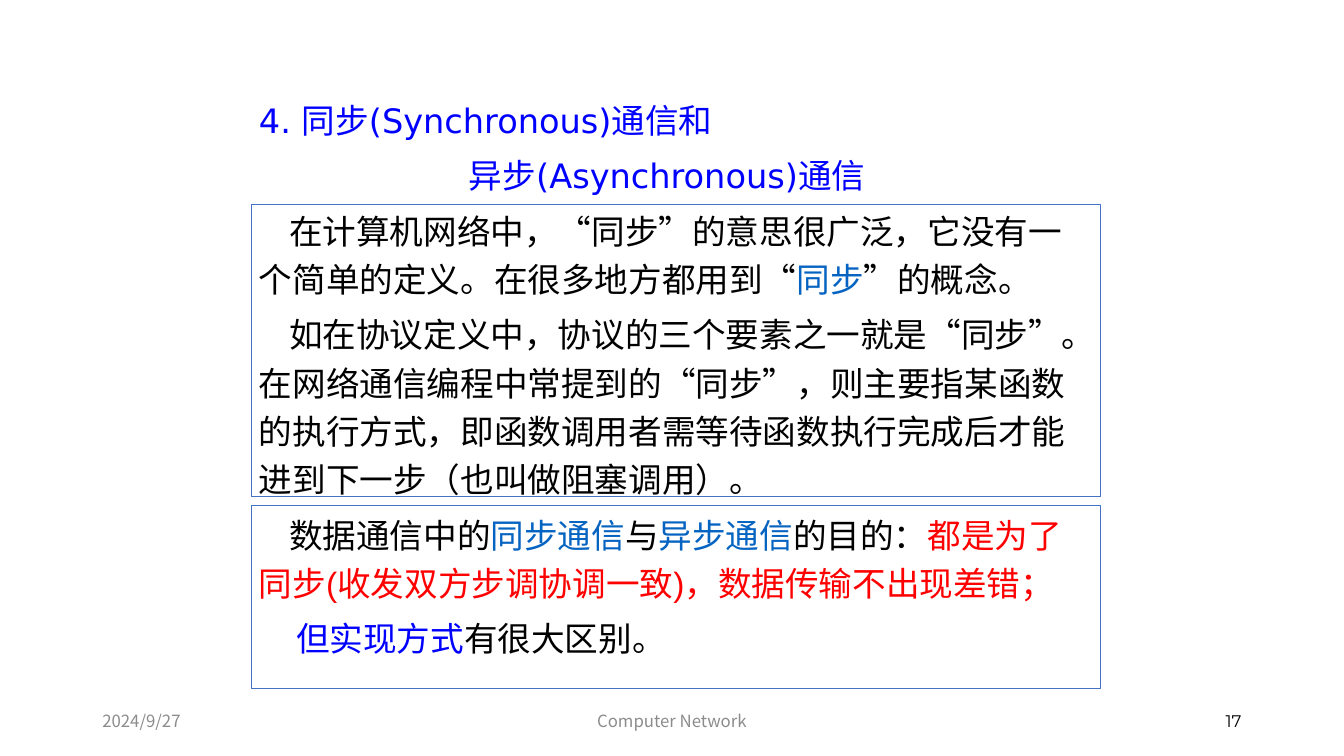
from lxml import etree
from pptx import Presentation
from pptx.dml.color import RGBColor
from pptx.enum.shapes import MSO_SHAPE
from pptx.enum.text import MSO_ANCHOR, MSO_AUTO_SIZE, PP_ALIGN
from pptx.oxml.ns import qn
from pptx.util import Pt

LEFT, CENTER, RIGHT = PP_ALIGN.LEFT, PP_ALIGN.CENTER, PP_ALIGN.RIGHT
TOP, MIDDLE = MSO_ANCHOR.TOP, MSO_ANCHOR.MIDDLE
NO_FIT = MSO_AUTO_SIZE.NONE
RECTANGLE = MSO_SHAPE.RECTANGLE

BLACK = RGBColor(0x00, 0x00, 0x00)
BLUE = RGBColor(0x00, 0x00, 0xFF)
LINK_BLUE = RGBColor(0x05, 0x63, 0xC1)
RED = RGBColor(0xFF, 0x00, 0x00)
GRAY = RGBColor(0x8C, 0x8C, 0x8C)
FRAME_BLUE = RGBColor(0x44, 0x72, 0xC4)

CJK_FONT, LATIN_FONT, GOAL_FONT, NUMBER_FONT = (
    "Noto Sans CJK SC", "DejaVu Sans", "Arial", "Montserrat")

HEADING = [
    (0, LATIN_FONT, [("4. 同步(Synchronous)通信和", BLUE)]),
    (150, LATIN_FONT, [("异步(Asynchronous)通信", BLUE)]),
]
EXPLANATION = [
    (21.5, LATIN_FONT, [
        ("在计算机网络中，“同步”的意思很广泛，它没有一个简单的定义。在很多地方都用到“", BLACK),
        ("同步", LINK_BLUE),
        ("”的概念。", BLACK)]),
    (21.5, LATIN_FONT, [
        ("如在协议定义中，协议的三个要素之一就是“同步”。在网络通信编程中常提到的“同步”，"
         "则主要指某函数的执行方式，即函数调用者需等待函数执行完成后才能进到下一步（也叫做阻塞调用）。", BLACK)]),
    (21.5, GOAL_FONT, [
        ("数据通信中的", BLACK),
        ("同步通信", LINK_BLUE),
        ("与", BLACK),
        ("异步通信", LINK_BLUE),
        ("的目的：", BLACK),
        ("都是为了同步(收发双方步调协调一致)，数据传输不出现差错；", RED)]),
    (26.5, GOAL_FONT, [
        ("但实现方式", BLUE),
        ("有很大区别。", BLACK)]),
]
FOOTERS = [
    ("2024/9/27", 66, 216, LEFT, CJK_FONT, GRAY),
    ("Computer Network", 318, 324, CENTER, CJK_FONT, GRAY),
    ("17", 678, 216, RIGHT, NUMBER_FONT, BLACK),
]
FRAMES = [(146.2, 208.8), (360.8, 131)]
FRAME_LEFT, FRAME_WIDTH = 179.4, 606.8
TEXT_LEFT, TEXT_WIDTH = 185, 595.4
HEADING_TOP, BODY_TOP, TEXT_BOTTOM = 65.5, 144.8, 478.8
FOOTER_TOP, FOOTER_HEIGHT = 500.5, 28.8


def add_span(para, text, size, font, color):
    span = para.add_run()
    span.text = text
    span.font.size = Pt(size)
    span.font.bold = False
    span.font.color.rgb = color
    span.font.name = font
    east_asian = etree.SubElement(span.font._element, qn("a:ea"))
    east_asian.set("typeface", CJK_FONT)


def place(box, left, top, width, height):
    box.left, box.top, box.width, box.height = Pt(left), Pt(top), Pt(width), Pt(height)


def fill_placeholder(box, top, bottom, paragraphs):
    place(box, TEXT_LEFT, top, TEXT_WIDTH, bottom - top)
    frame = box.text_frame
    frame.word_wrap = True
    frame.auto_size = NO_FIT
    frame.vertical_anchor = TOP
    frame.margin_left = frame.margin_top = frame.margin_right = frame.margin_bottom = 0
    for index, (indent, font, spans) in enumerate(paragraphs):
        para = frame.add_paragraph() if index else frame.paragraphs[0]
        properties = para._p.get_or_add_pPr()
        properties.set("marL", "0")
        properties.set("indent", str(Pt(indent)))
        etree.SubElement(properties, qn("a:buNone"))
        para.alignment = LEFT
        para.line_spacing = 1.2
        para.space_before = Pt(4.8 if index else 0)
        for text, color in spans:
            add_span(para, text, 24, font, color)


def add_footer(page, text, left, width, alignment, font, color):
    box = page.shapes.add_textbox(Pt(left), Pt(FOOTER_TOP), Pt(width), Pt(FOOTER_HEIGHT))
    box.text_frame.word_wrap = True
    box.text_frame.vertical_anchor = MIDDLE
    para = box.text_frame.paragraphs[0]
    para.alignment = alignment
    add_span(para, text, 12, font, color)


def add_frame(page, top, height):
    frame = page.shapes.add_shape(
        RECTANGLE, Pt(FRAME_LEFT), Pt(top), Pt(FRAME_WIDTH), Pt(height))
    frame.shadow.inherit = False
    frame.fill.background()
    frame.line.color.rgb = FRAME_BLUE
    frame.line.width = Pt(0.75)


def main():
    deck = Presentation()
    deck.slide_width, deck.slide_height = Pt(960), Pt(540)
    page = deck.slides.add_slide(deck.slide_layouts[1])
    fill_placeholder(page.shapes.title, HEADING_TOP, BODY_TOP, HEADING)
    fill_placeholder(page.placeholders[1], BODY_TOP, TEXT_BOTTOM, EXPLANATION)
    for footer in FOOTERS:
        add_footer(page, *footer)
    for top, height in FRAMES:
        add_frame(page, top, height)
    deck.save("out.pptx")


if __name__ == "__main__":
    main()
